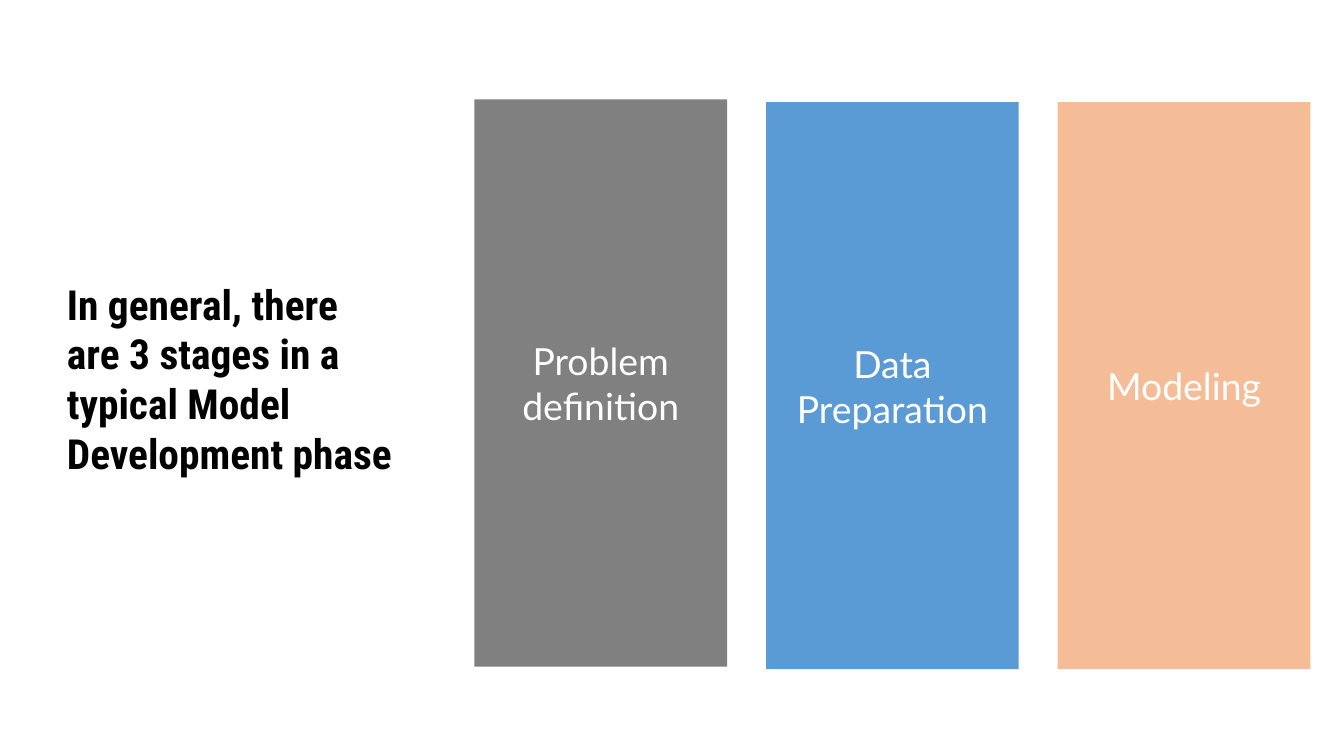
import pptx
import pptx.util
import pptx.dml.color
import pptx.enum.shapes
import pptx.enum.text
import pptx.oxml.ns
import lxml.etree

Inches = pptx.util.Inches
Pt = pptx.util.Pt

# Content
CLAIM = "In general, there are 3 stages in a typical Model Development phase"
STAGES = [  # label, colour, top, opacity in percent
    ("Problem definition", "gray", 0.74, 100),
    ("Data Preparation", "blue", 0.76, 100),
    ("Modeling", "orange", 0.76, 50),
]
COLORS = {
    "gray": "808080",
    "blue": "5B9BD5",
    "orange": "ED7D31",
    "white": "FFFFFF",
    "black": "000000",
}
LEFT, STEP, WIDTH, HEIGHT = 3.53, 2.17, 1.88, 4.22


def color(name):
    return pptx.dml.color.RGBColor.from_string(COLORS[name])


def write(shape, text, font, size, ink, align, bold=False):
    frame = shape.text_frame
    frame.word_wrap = True
    frame.vertical_anchor = pptx.enum.text.MSO_ANCHOR.MIDDLE
    frame.text = text
    para = frame.paragraphs[0]
    para.alignment = align
    style = para.runs[0].font
    style.name, style.size, style.bold = font, Pt(size), bold
    style.color.rgb = color(ink)


def fade(shape, percent):
    tint = shape.fill._xPr.find(".//" + pptx.oxml.ns.qn("a:srgbClr"))
    alpha = lxml.etree.SubElement(tint, pptx.oxml.ns.qn("a:alpha"))
    alpha.set("val", str(percent * 1000))


# Slide in 16:9
deck = pptx.Presentation()
deck.slide_width = Inches(10)
deck.slide_height = Inches(10 * 9 / 16)
slide = deck.slides.add_slide(deck.slide_layouts[6])
align = pptx.enum.text.PP_ALIGN

# Claim on the left
claim = slide.shapes.add_textbox(Inches(0.4), Inches(2.15), Inches(2.63), Inches(1.33))
write(claim, CLAIM, "Roboto Condensed", 22.2, "black", align.LEFT, bold=True)

# Stage panels
for i, (label, fill, top, opacity) in enumerate(STAGES):
    panel = slide.shapes.add_shape(
        pptx.enum.shapes.MSO_SHAPE.RECTANGLE,
        Inches(LEFT + i * STEP), Inches(top), Inches(WIDTH), Inches(HEIGHT))
    panel.shadow.inherit = False
    panel.line.fill.background()
    panel.fill.solid()
    panel.fill.fore_color.rgb = color(fill)
    if opacity < 100:
        fade(panel, opacity)
    write(panel, label, "Lato", 20, "white", align.CENTER)

deck.save("out.pptx")
